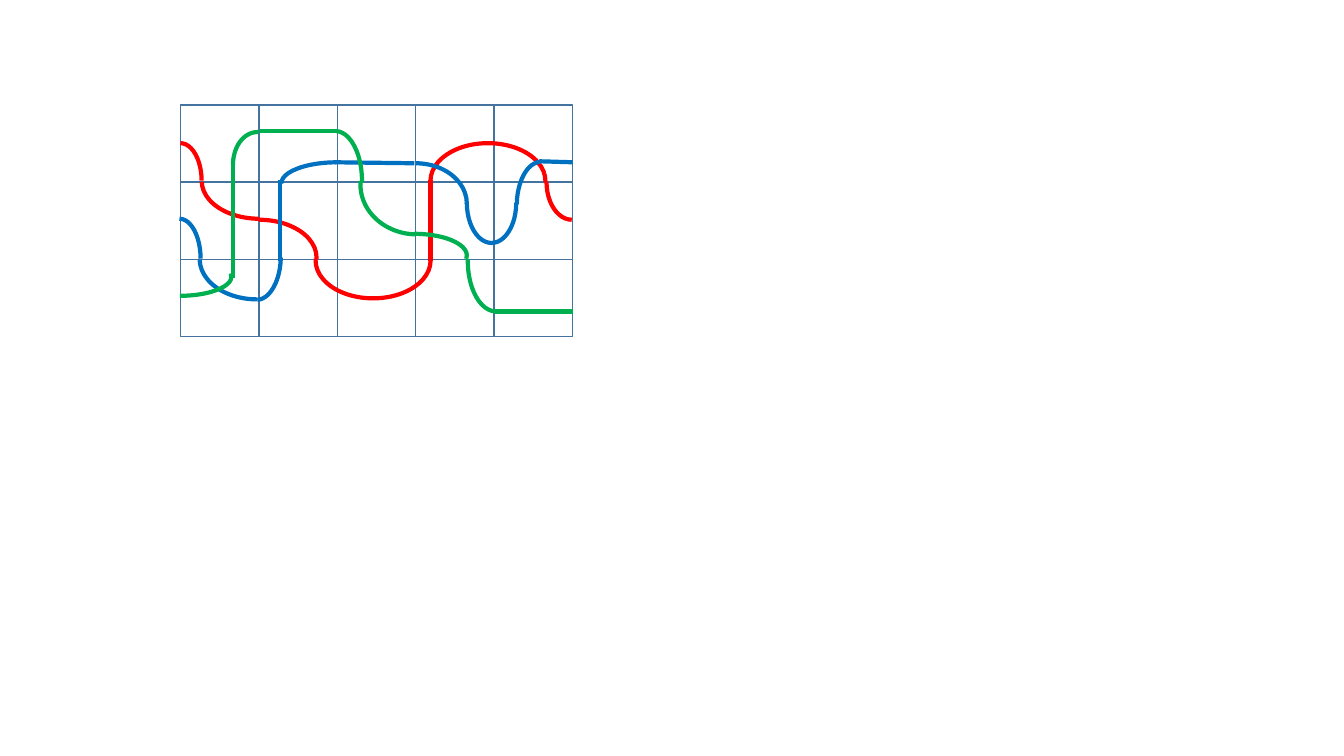
import pptx
import pptx.util
import pptx.dml.color
import pptx.enum.shapes
import pptx.oxml.ns
import lxml.etree

Inches = pptx.util.Inches
KIND = pptx.enum.shapes.MSO_SHAPE


def tint(code):
    return pptx.dml.color.RGBColor.from_string(code)


class Board:
    """Holds the slide and the line styles."""
    grid = {"width": pptx.util.Pt(1)}
    track = {"width": pptx.util.Pt(3)}

    def __init__(self, slide):
        self.slide = slide

    def stroke(self, item, code, style):
        item.line.color.rgb = tint(code)
        for name, value in style.items():
            setattr(item.line, name, value)

    def shape(self, home, kind, box, code, style):
        item = home.add_shape(kind, *map(Inches, box))
        item.shadow.inherit = False
        item.fill.background()
        self.stroke(item, code, style)
        return item

    def cells(self, left, top, wide, high, cols, rows, code):
        group = self.slide.shapes.add_group_shape()
        for row in range(rows):
            for col in range(cols):
                box = (left + col * wide, top + row * high, wide, high)
                self.shape(group.shapes, KIND.RECTANGLE, box, code, self.grid)

    def arc(self, code, box, turn=0, start=162, end=215.47, flip=False):
        item = self.shape(self.slide.shapes, KIND.ARC, box, code, self.track)
        item.adjustments[0] = start
        item.adjustments[1] = end
        item.rotation = turn
        if flip:
            item._element.spPr.xfrm.set("flipV", "1")

    def line(self, code, *ends):
        item = self.slide.shapes.add_connector(
            pptx.enum.shapes.MSO_CONNECTOR.STRAIGHT, *map(Inches, ends))
        self.stroke(item, code, self.track)
        lxml.etree.SubElement(item._element.spPr,
                              pptx.oxml.ns.qn("a:effectLst"))


deck = pptx.Presentation()
deck.slide_width = Inches(13.33)
deck.slide_height = Inches(7.5)
board = Board(deck.slides.add_slide(deck.slide_layouts[6]))

# Grid of five by three cells
board.cells(1.79, 1.04, 3.89 / 5, 2.3 / 3, 5, 3, "43739E")

# Red track: arcs (box, turn, start, end), then the straight run
RED = "FF0000"
for arc in [
    ((1.58, 1.42, 0.42, 0.75),),
    ((2, 1.42, 1.14, 0.75), 180),
    ((2, 2.18, 1.14, 0.75), 0, 162, 1.08),
    ((3.13, 2.21, 1.14, 0.75), 180, 107.39, 1.08),
    ((4.27, 1.42, 1.14, 0.75), 0, 107.39, 1.08),
    ((5.42, 1.43, 0.5, 0.75), 180),
]:
    board.arc(RED, *arc)
board.line(RED, 4.27, 1.79, 4.27, 2.59)

# Blue track
BLUE = "0070C0"
for arc in [
    ((1.57, 2.17, 0.42, 0.8),),
    ((1.98, 2.17, 1.14, 0.8), 180),
    ((2.11, 2.3, 0.87, 0.48), 90, 164.03),
    ((3.13, 1.27, 0.42, 1.1), 270),
    ((3.62, 1.62, 1.01, 0.8), 0, 162, 0.44),
    ((4.63, 1.61, 0.49, 0.8), 180, 108.28),
    ((4.93, 1.8, 0.87, 0.48), 270, 164.03),
]:
    board.arc(BLUE, *arc)
for ends in [(2.78, 1.79, 2.78, 2.59), (4.11, 1.62, 3.32, 1.61),
             (5.68, 1.61, 5.35, 1.6)]:
    board.line(BLUE, *ends)

# Green track: all arcs but the first are flipped
GREEN = "00B050"
for box, turn, flip in [
    ((1.59, 2.23, 0.38, 1.03), 90, False),
    ((2.31, 1.31, 0.48, 0.65), 180, True),
    ((2.83, 1.53, 0.99, 0.53), 270, True),
    ((3.64, 1.27, 0.99, 1.12), 90, True),
    ((3.89, 2.01, 0.43, 1.05), 270, True),
    ((4.42, 2.31, 1, 0.56), 90, True),
]:
    board.arc(GREEN, box, turn, start=159.82, flip=flip)
for ends in [(2.31, 1.62, 2.31, 2.76), (3.34, 1.3, 2.58, 1.3),
             (5.68, 3.09, 4.91, 3.09)]:
    board.line(GREEN, *ends)

deck.save("out.pptx")
